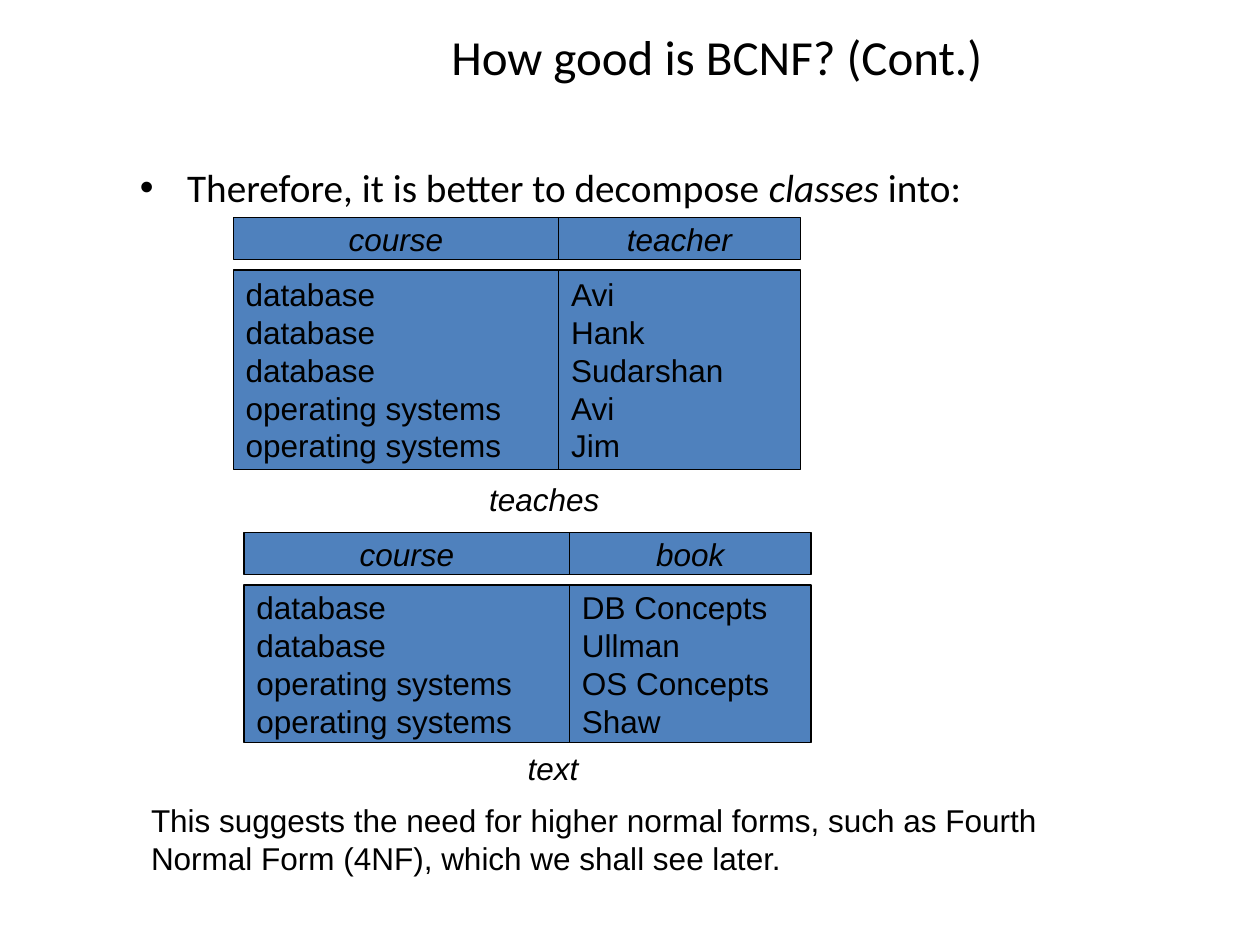
"""Build the slide that decomposes the classes relation into two tables."""
from dataclasses import dataclass

from pptx import Presentation
from pptx.dml.color import RGBColor
from pptx.enum import shapes, text
from pptx.util import Pt

BLACK = RGBColor(0x00, 0x00, 0x00)
BLUE = RGBColor(0x4F, 0x81, 0xBD)
LEFT, CENTER = text.PP_ALIGN.LEFT, text.PP_ALIGN.CENTER
COLUMN_WIDTHS = (186, 138)
HEADER_HEIGHT = 24
HEADER_GAP = 6
CAPTION_HEIGHT = 29
CELL_FRAME = {"word_wrap": False, "vertical_anchor": text.MSO_ANCHOR.MIDDLE}
CAPTION_FRAME = CELL_FRAME | {"auto_size": text.MSO_AUTO_SIZE.SHAPE_TO_FIT_TEXT}
LABEL = {"name": "Arial", "size": Pt(18)}
ITALIC_LABEL = LABEL | {"italic": True}


@dataclass
class Relation:
    left: float
    top: float
    body_height: float
    columns: dict[str, list[str]]
    caption: str
    caption_left: float
    caption_top: float
    caption_width: float


RELATIONS = [
    Relation(133.3, 124.3, 114, {
        "course": ["database"] * 3 + ["operating systems"] * 2,
        "teacher": ["Avi", "Hank", "Sudarshan", "Avi", "Jim"],
    }, "teaches", 272, 270.7, 78),
    Relation(139.5, 304.3, 90, {
        "course": ["database"] * 2 + ["operating systems"] * 2,
        "book": ["DB Concepts", "Ullman", "OS Concepts", "Shaw"],
    }, "text", 294, 424.1, 44),
]


def apply_format(target, values: dict) -> None:
    for name, value in values.items():
        setattr(target, name, value)


def place(placeholder, left: float, top: float, width: float, height: float) -> None:
    apply_format(placeholder, {"left": Pt(left), "top": Pt(top),
                               "width": Pt(width), "height": Pt(height)})
    placeholder.text_frame.auto_size = text.MSO_AUTO_SIZE.NONE


def add_run(paragraph, wording: str, font: dict) -> None:
    run = paragraph.add_run()
    run.text = wording
    apply_format(run.font, font)
    run.font.color.rgb = BLACK


def write_lines(frame, lines: list[str], font: dict, alignment, layout: dict) -> None:
    apply_format(frame, layout)
    for number, line in enumerate(lines):
        paragraph = frame.add_paragraph() if number else frame.paragraphs[0]
        paragraph.alignment = alignment
        add_run(paragraph, line, font)


def add_cell(slide, left: float, top: float, width: float, height: float,
             lines: list[str], font: dict, alignment) -> None:
    cell = slide.shapes.add_shape(shapes.MSO_SHAPE.RECTANGLE,
                                  Pt(left), Pt(top), Pt(width), Pt(height))
    cell.shadow.inherit = False
    cell.fill.solid()
    cell.fill.fore_color.rgb = BLUE
    cell.line.color.rgb = BLACK
    cell.line.width = Pt(0.75)
    write_lines(cell.text_frame, lines, font, alignment, CELL_FRAME)


def add_relation(slide, relation: Relation) -> None:
    left = relation.left
    body_top = relation.top + HEADER_HEIGHT + HEADER_GAP
    for width, (header, values) in zip(COLUMN_WIDTHS, relation.columns.items()):
        add_cell(slide, left, relation.top, width, HEADER_HEIGHT,
                 [header], ITALIC_LABEL, CENTER)
        add_cell(slide, left, body_top, width, relation.body_height,
                 values, LABEL, LEFT)
        left += width
    caption = slide.shapes.add_textbox(
        Pt(relation.caption_left), Pt(relation.caption_top),
        Pt(relation.caption_width), Pt(CAPTION_HEIGHT))
    write_lines(caption.text_frame, [relation.caption], ITALIC_LABEL, CENTER,
                CAPTION_FRAME)


def main() -> None:
    deck = Presentation()
    deck.slide_width, deck.slide_height = Pt(720), Pt(540)
    slide = deck.slides.add_slide(deck.slide_layouts[1])

    title = slide.shapes.title
    place(title, 129, 9.4, 561, 45.4)
    write_lines(title.text_frame, ["How good is BCNF? (Cont.)"],
                {"name": "Calibri", "size": Pt(28)}, CENTER,
                {"vertical_anchor": text.MSO_ANCHOR.MIDDLE})

    statement = slide.placeholders[1]
    place(statement, 72.7, 90, 529.2, 41.8)
    bullet = statement.text_frame.paragraphs[0]
    properties = bullet._p.get_or_add_pPr()
    properties.set("marL", str(Pt(27)))
    properties.set("indent", str(Pt(-27)))
    for wording, italic in (("Therefore, it is better to decompose ", False),
                            ("classes ", True), ("into:", False)):
        add_run(bullet, wording, {"name": "Calibri", "size": Pt(22.4), "italic": italic})

    for relation in RELATIONS:
        add_relation(slide, relation)

    conclusion = slide.shapes.add_textbox(Pt(79.2), Pt(454.3), Pt(529.2), Pt(41.8))
    write_lines(conclusion.text_frame,
                ["This suggests the need for higher normal forms, such as Fourth "
                 "Normal Form (4NF), which we shall see later."],
                LABEL, LEFT, {"word_wrap": True})
    deck.save("out.pptx")


if __name__ == "__main__":
    main()
